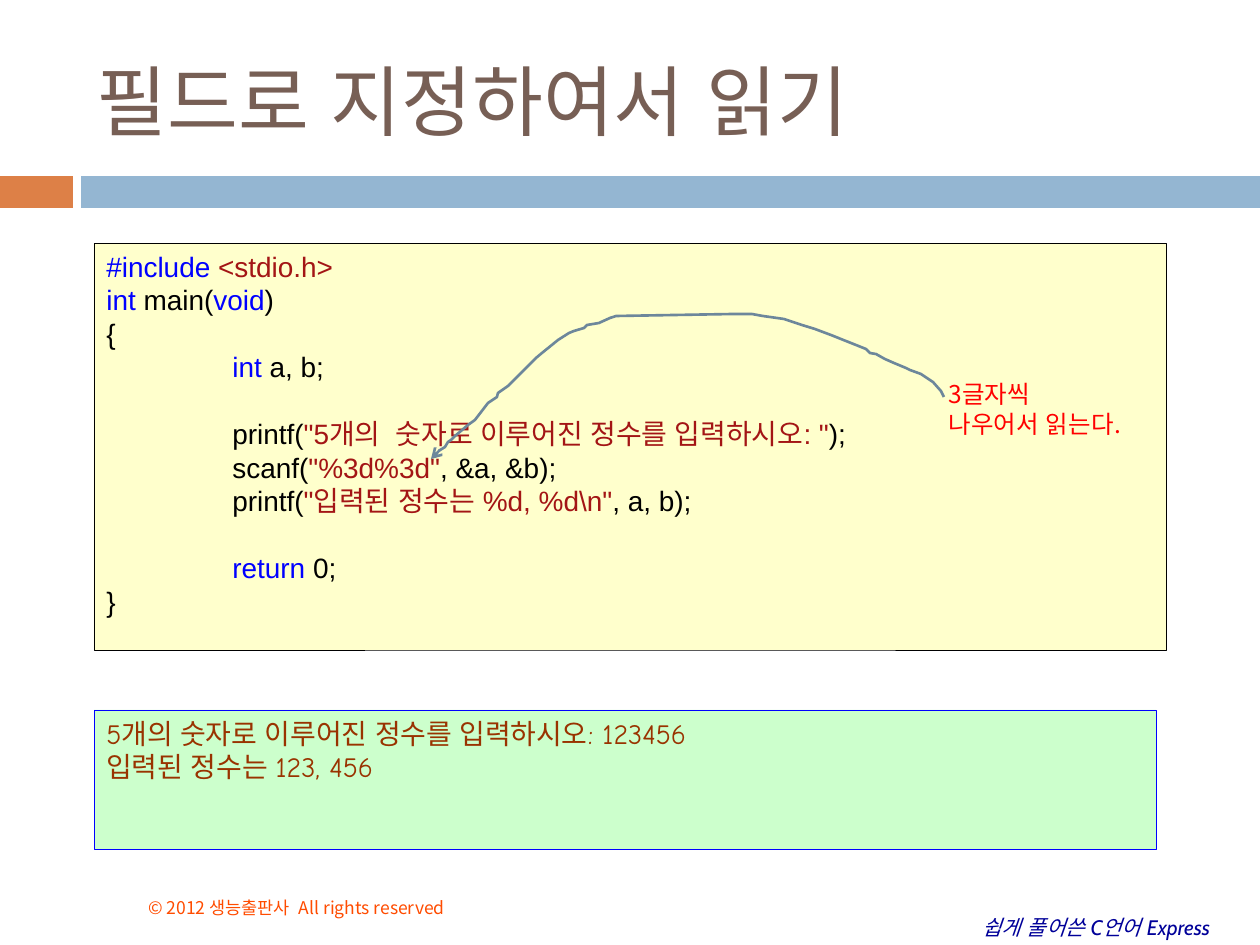
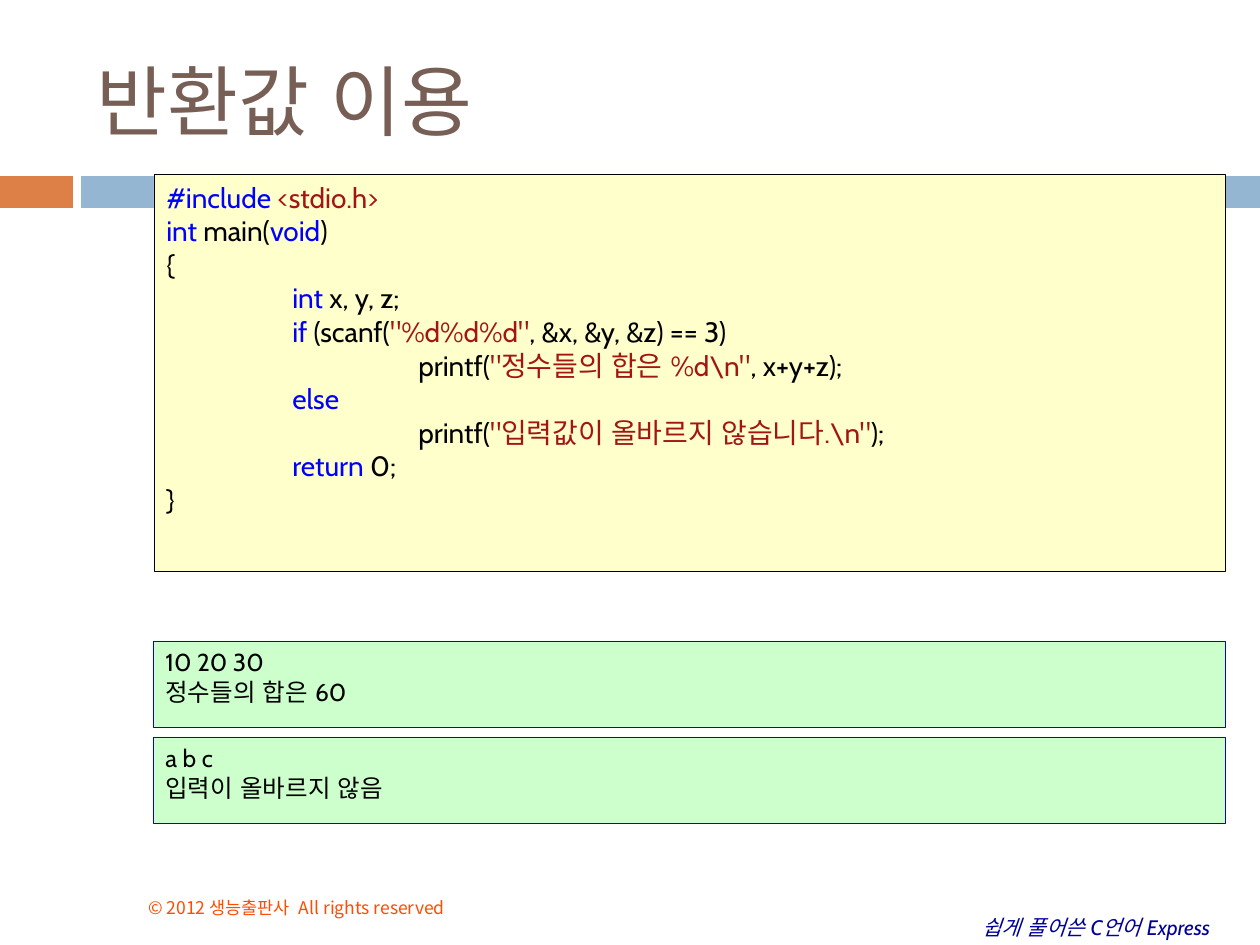
import pptx
import pptx.util
import pptx.dml.color
import pptx.enum.shapes
import pptx.enum.text
import pptx.oxml.ns
import lxml.etree

SCALE = 914400 / 126
SLIDE_WIDTH, SLIDE_HEIGHT = 1260, 945
LATIN, COPYRIGHT_FONT, HANGUL = "Cabin", "Noto Sans CJK KR", "Arial"
BLANK_LINE = 19
TAB_STOP = 126

ORANGE, BLUE_BAND, TITLE_BROWN = "DD8047", "94B6D2", "775F55"
COPYRIGHT_ORANGE, BOOK_NAVY = "FF4C00", "000099"
CODE_FILL, OUTPUT_FILL = "FFFFCC", "CCFFCC"
PLAIN, KEYWORD, STRING = "000000", "0000FF", "A31515"
OUTPUT_BROWN, NOTE_RED, ARROW_GREY = "993300", "FF0000", "6D879B"

LEFT = pptx.enum.text.PP_ALIGN.LEFT
JUSTIFY = pptx.enum.text.PP_ALIGN.JUSTIFY
TOP = pptx.enum.text.MSO_ANCHOR.TOP
MIDDLE = pptx.enum.text.MSO_ANCHOR.MIDDLE
BOTTOM = pptx.enum.text.MSO_ANCHOR.BOTTOM

HEADER_LINES = [
    [("#include ", KEYWORD), ("<stdio.h>", STRING)],
    [("int", KEYWORD), (" main(", PLAIN), ("void", KEYWORD), (")", PLAIN)],
    [("{", PLAIN)],
]

FIELD_CODE = HEADER_LINES + [
    [("\tint ", KEYWORD), ("a, b;", PLAIN)],
    [],
    [("\tprintf(", PLAIN), ('"5개의  숫자로 이루어진 정수를 입력하시오: "', STRING), (");", PLAIN)],
    [("\tscanf(", PLAIN), ('"%3d%3d"', STRING), (", &a, &b);", PLAIN)],
    [("\tprintf(", PLAIN), ('"입력된 정수는 %d, %d\\n"', STRING), (", a, b);", PLAIN)],
    [],
    [("\treturn ", KEYWORD), ("0;", PLAIN)],
    [("}", PLAIN)],
]

RETURN_CODE = HEADER_LINES + [
    [("\tint", KEYWORD), (" x, y, z;", PLAIN)],
    [("\tif", KEYWORD), (" (scanf(", PLAIN), ('"%d%d%d"', STRING), (", &x, &y, &z) == 3)", PLAIN)],
    [("\t\tprintf(", PLAIN), ('"정수들의 합은 %d\\n"', STRING), (", x+y+z);", PLAIN)],
    [("\telse", KEYWORD)],
    [("\t\tprintf(", PLAIN), ('"입력값이 올바르지 않습니다.\\n"', STRING), (");", PLAIN)],
    [("\treturn", KEYWORD), (" 0;", PLAIN)],
    [("}", PLAIN)],
]

NOTE_TO_FORMAT = [
    (850, 154), (847, 148), (839, 139), (827, 131), (816, 127), (812, 125),
    (800, 120), (791, 116), (782, 111), (776, 110), (772, 106), (762, 102),
    (752, 98), (737, 92), (721, 86), (708, 82), (690, 76), (669, 73),
    (658, 71), (638, 71), (522, 73), (516, 75), (505, 80), (493, 82),
    (490, 85), (480, 88), (475, 90), (464, 97), (448, 110), (442, 115),
    (435, 122), (414, 143), (404, 150), (403, 154), (394, 160), (381, 177),
    (374, 182), (367, 188), (361, 193), (357, 197), (354, 199), (351, 204),
    (343, 209), (337, 216),
]


def px(length):
    return round(length * SCALE)


def color(value):
    return pptx.dml.color.RGBColor.from_string(value)


def add_tab_stops(paragraph, count):
    properties = paragraph._p.get_or_add_pPr()
    stops = lxml.etree.SubElement(properties, pptx.oxml.ns.qn("a:tabLst"))
    for number in range(1, count + 1):
        stop = lxml.etree.SubElement(stops, pptx.oxml.ns.qn("a:tab"))
        stop.set("pos", str(px(TAB_STOP * number)))
        stop.set("algn", "l")


def write(shape, lines, size, font=LATIN, align=LEFT, anchor=TOP, wrap=True, italic=False):
    frame = shape.text_frame
    frame.word_wrap = wrap
    frame.vertical_anchor = anchor
    paragraph = None
    gap = 0
    for line in lines:
        if not line:
            gap += BLANK_LINE
            continue
        paragraph = frame.add_paragraph() if paragraph else frame.paragraphs[0]
        tabs = line[0][0].count("\t")
        if tabs:
            add_tab_stops(paragraph, tabs)
        paragraph.alignment = align
        if gap:
            paragraph.space_before = pptx.util.Pt(gap)
            gap = 0
        for text, ink in line:
            run = paragraph.add_run()
            run.text = text
            run.font.size = pptx.util.Pt(size)
            run.font.name = font
            run.font.italic = italic
            run.font.color.rgb = color(ink)
            hangul = lxml.etree.SubElement(run.font._element, pptx.oxml.ns.qn("a:ea"))
            hangul.set("typeface", HANGUL)


def add_text(slide, box, lines, size, **style):
    write(slide.shapes.add_textbox(*map(px, box)), lines, size, **style)


def add_panel(slide, box, fill, border=None, width=0.25):
    panel = slide.shapes.add_shape(pptx.enum.shapes.MSO_SHAPE.RECTANGLE, *map(px, box))
    panel.shadow.inherit = False
    panel.fill.solid()
    panel.fill.fore_color.rgb = color(fill)
    if border:
        panel.line.color.rgb = color(border)
        panel.line.width = pptx.util.Pt(width)
    else:
        panel.line.fill.background()
    return panel


def add_frame(slide, title):
    add_panel(slide, (0, 176, 73, 32), ORANGE)
    add_panel(slide, (81, 176, SLIDE_WIDTH - 81, 32), BLUE_BAND)
    add_text(slide, (970, 908, 275, 38), [[("쉽게 풀어쓴 C언어 Express", BOOK_NAVY)]],
             12, wrap=False, italic=True)
    add_text(slide, (136, 871, 483, 53),
             [[("© 2012 생능출판사  All rights reserved", COPYRIGHT_ORANGE)]],
             10, font=COPYRIGHT_FONT, anchor=BOTTOM)
    add_text(slide, (84, 32, 1124, 136), [[(title, TITLE_BROWN)]], 44, anchor=MIDDLE)


def add_code(slide, box, lines, **style):
    write(add_panel(slide, box, CODE_FILL, PLAIN), lines, 16, **style)


def add_output(slide, box, lines, ink, size, **style):
    panel = add_panel(slide, box, OUTPUT_FILL, KEYWORD, 0.33)
    write(panel, [[(line, ink)] for line in lines], size, **style)


def add_field_note(slide, box):
    left, top = box[:2]
    add_text(slide, (left + 842, top + 130, 197, 72),
             [[("3글자씩 나우어서 읽는다.", NOTE_RED)]], 14, font=COPYRIGHT_FONT)
    start, *rest = NOTE_TO_FORMAT
    builder = slide.shapes.build_freeform(*start, scale=SCALE)
    builder.add_line_segments(rest, close=False)
    arrow = builder.convert_to_shape(px(left), px(top))
    arrow.shadow.inherit = False
    arrow.fill.background()
    arrow.line.color.rgb = color(ARROW_GREY)
    arrow.line.width = pptx.util.Pt(1.5)
    head = lxml.etree.SubElement(arrow.line._get_or_add_ln(), pptx.oxml.ns.qn("a:tailEnd"))
    head.set("type", "arrow")


def build_field_slide(slide):
    code_box = (94, 243, 1072, 407)
    add_frame(slide, "필드로 지정하여서 읽기")
    add_code(slide, code_box, FIELD_CODE, font="Arial")
    add_output(slide, (94, 710, 1062, 139),
               ["5개의 숫자로 이루어진 정수를 입력하시오: 123456", "입력된 정수는 123, 456"],
               OUTPUT_BROWN, 16, font="Comic Neue", align=JUSTIFY)
    add_field_note(slide, code_box)


def build_return_slide(slide):
    left, width = 153, 1072
    add_frame(slide, "반환값 이용")
    add_code(slide, (left + 1, 174, width - 1, 397), RETURN_CODE, align=JUSTIFY)
    outputs = [["10 20 30", "정수들의 합은 60"], ["a b c", "입력이 올바르지 않음"]]
    for row, lines in enumerate(outputs):
        add_output(slide, (left, 641 + 96 * row, width, 86), lines, PLAIN, 14)


def main():
    deck = pptx.Presentation()
    deck.slide_width, deck.slide_height = px(SLIDE_WIDTH), px(SLIDE_HEIGHT)
    for build in (build_field_slide, build_return_slide):
        build(deck.slides.add_slide(deck.slide_layouts[6]))
    deck.save("out.pptx")


if __name__ == "__main__":
    main()
